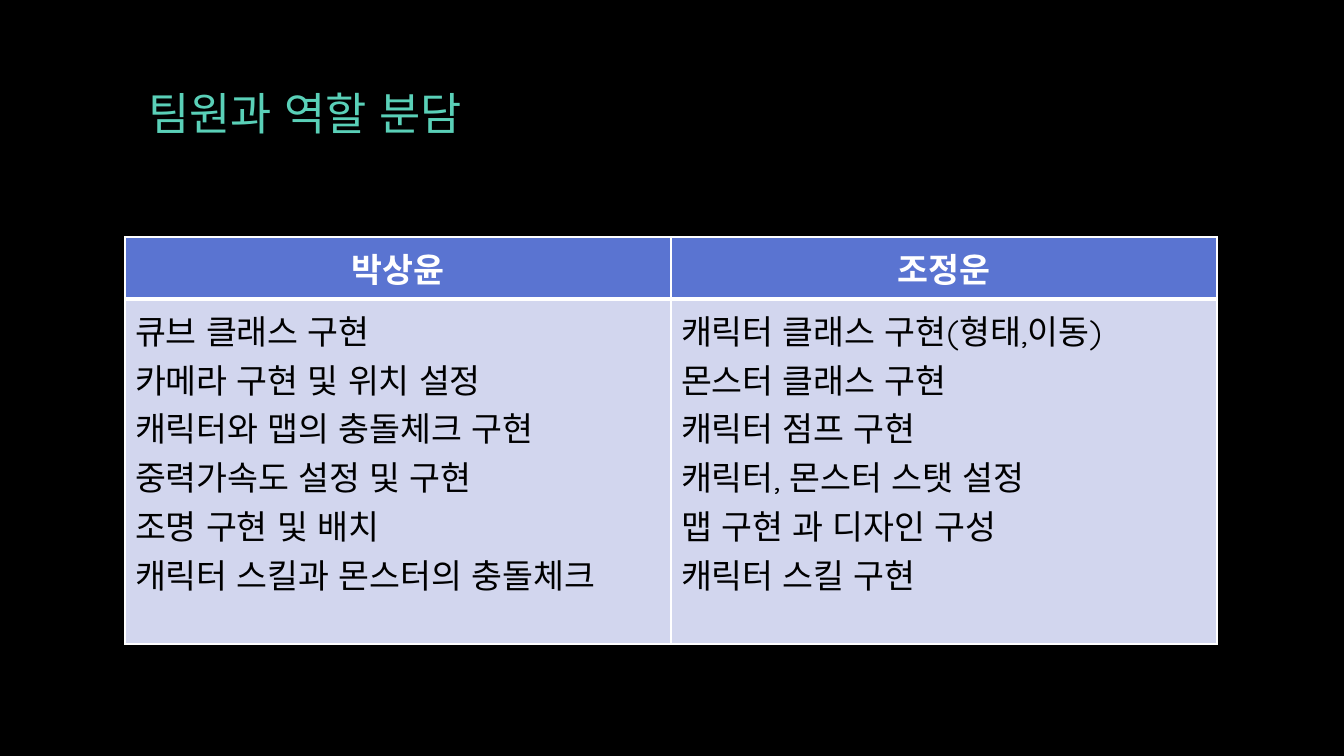
from lxml import etree
from pptx import Presentation
from pptx.dml.color import RGBColor
from pptx.enum.text import MSO_ANCHOR, PP_ALIGN
from pptx.oxml.ns import qn
from pptx.util import Emu, Pt

MIDDLE = MSO_ANCHOR.MIDDLE
LEFT, CENTER = PP_ALIGN.LEFT, PP_ALIGN.CENTER

TITLE = " 팀원과 역할 분담"
ROLES = {
    "박상윤": [
        "큐브 클래스 구현",
        "카메라 구현 및 위치 설정",
        "캐릭터와 맵의 충돌체크 구현",
        "중력가속도 설정 및 구현",
        "조명 구현 및 배치",
        "캐릭터 스킬과 몬스터의 충돌체크",
    ],
    "조정운": [
        "캐릭터 클래스 구현(형태,이동)",
        "몬스터 클래스 구현",
        "캐릭터 점프 구현",
        "캐릭터, 몬스터 스탯 설정",
        "맵 구현 과 디자인 구성",
        "캐릭터 스킬 구현",
    ],
}

THEME = {
    "font": "Quicksand",
    "background": "000000",
    "border": "FFFFFF",
    "title": {"size": 32, "color": "5AD0B8", "bold": False, "spacing": 1.0},
    "header": {"size": 24, "color": "FFFFFF", "bold": True, "spacing": 1.16},
    "body": {"size": 24, "color": "000000", "bold": False, "spacing": 1.16},
    "header_fill": "5A74D1",
    "body_fill": "D2D6EE",
}

SLIDE = (1344, 756)
TITLE_BOX = (126, 67, 1092, 91)
TABLE_POS = (125, 237)
COLUMN_WIDTH = 546
ROW_HEIGHTS = (62, 345)
THIN, THICK = 1, 3


def px(n):
    return Emu(n * 9525 * 960 // 1008)


def write(tf, lines, style, align=LEFT):
    for i, line in enumerate(lines):
        p = tf.paragraphs[0] if i == 0 else tf.add_paragraph()
        p.alignment = align
        p.line_spacing = style["spacing"]
        r = p.add_run()
        r.text = line
        formats = {
            "name": THEME["font"],
            "size": Pt(style["size"]),
            "bold": style["bold"],
        }
        for key, value in formats.items():
            setattr(r.font, key, value)
        r.font.color.rgb = RGBColor.from_string(style["color"])
        ea = etree.SubElement(r.font._element, qn("a:ea"))
        ea.set("typeface", THEME["font"])


def set_borders(cell, widths):
    tcPr = cell._tc.get_or_add_tcPr()
    for i, (side, width) in enumerate(widths.items()):
        ln = etree.Element(qn(f"a:ln{side}"), w=str(Pt(width)))
        fill = etree.SubElement(ln, qn("a:solidFill"))
        etree.SubElement(fill, qn("a:srgbClr"), val=THEME["border"])
        tcPr.insert(i, ln)


def add_title(slide):
    sp = slide.shapes.add_textbox(*map(px, TITLE_BOX))
    tf = sp.text_frame
    tf.word_wrap = True
    tf.vertical_anchor = MIDDLE
    write(tf, [TITLE], THEME["title"])


def add_roles(slide):
    size = (COLUMN_WIDTH * len(ROLES), sum(ROW_HEIGHTS))
    sp = slide.shapes.add_table(
        len(ROW_HEIGHTS), len(ROLES), *map(px, TABLE_POS + size)
    )
    table = sp.table
    for row, height in zip(table.rows, ROW_HEIGHTS):
        row.height = px(height)
    for col, (member, tasks) in enumerate(ROLES.items()):
        table.columns[col].width = px(COLUMN_WIDTH)
        parts = (
            ([member], "header", CENTER, THIN, THICK),
            (tasks, "body", LEFT, THICK, THIN),
        )
        for row, (lines, kind, align, top, bottom) in enumerate(parts):
            cell = table.cell(row, col)
            cell.fill.solid()
            cell.fill.fore_color.rgb = RGBColor.from_string(THEME[f"{kind}_fill"])
            set_borders(cell, {"L": THIN, "R": THIN, "T": top, "B": bottom})
            write(cell.text_frame, lines, THEME[kind], align)


def main():
    prs = Presentation()
    prs.slide_width, prs.slide_height = map(px, SLIDE)
    slide = prs.slides.add_slide(prs.slide_layouts[6])
    slide.background.fill.solid()
    slide.background.fill.fore_color.rgb = RGBColor.from_string(THEME["background"])
    add_title(slide)
    add_roles(slide)
    prs.save("out.pptx")


if __name__ == "__main__":
    main()
